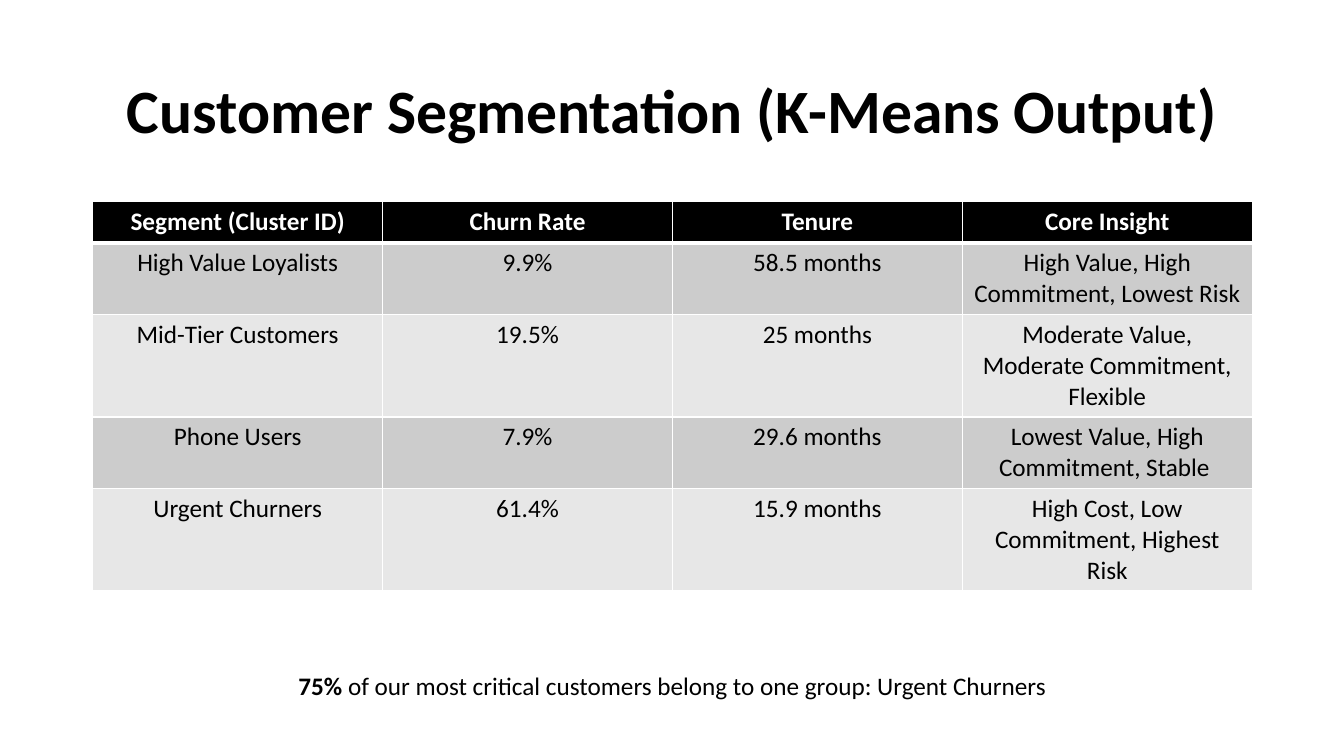
from typing import NamedTuple

from lxml.etree import SubElement
from pptx import Presentation
from pptx.dml.color import RGBColor
from pptx.enum.text import MSO_ANCHOR, MSO_AUTO_SIZE, PP_ALIGN
from pptx.oxml.ns import qn
from pptx.util import Emu, Pt

EMU_PER_PX = 9144  # 100 px to the inch
FONT = "Calibri"
BODY_SIZE = 18
COLORS = {
    "text": "000000",
    "header": "000000",
    "header_text": "FFFFFF",
    "odd_row": "CCCCCC",
    "even_row": "E7E7E7",
    "border": "FFFFFF",
}


class Box(NamedTuple):
    left: int
    top: int
    width: int
    height: int


class Segment(NamedTuple):
    name: str
    churn_rate: str
    tenure: str
    insight: str


TITLE_BOX = Box(92, 40, 1150, 145)
TABLE_BOX = Box(92, 200, 1150, 205)
TAKEAWAY_BOX = Box(92, 660, 1150, 40)

HEADER = Segment("Segment (Cluster ID)", "Churn Rate", "Tenure", "Core Insight")
SEGMENTS = [
    Segment("High Value Loyalists", "9.9%", "58.5 months",
            "High Value, High Commitment, Lowest Risk"),
    Segment("Mid-Tier Customers", "19.5%", "25 months",
            "Moderate Value, Moderate Commitment, Flexible"),
    Segment("Phone Users", "7.9%", "29.6 months",
            "Lowest Value, High Commitment, Stable "),
    Segment("Urgent Churners", "61.4%", "15.9 months",
            "High Cost, Low Commitment, Highest Risk"),
]


def px(length: int) -> Emu:
    return Emu(length * EMU_PER_PX)


def emu_box(box: Box) -> list[Emu]:
    return [px(length) for length in box]


def rgb(name: str) -> RGBColor:
    return RGBColor.from_string(COLORS[name])


def format_para(para, size: int, color: str = "text", bold: bool = False) -> None:
    para.alignment = PP_ALIGN.CENTER
    para.font.name = FONT
    para.font.size = Pt(size)
    para.font.bold = bold
    para.font.color.rgb = rgb(color)


def add_borders(cell, top: int, bottom: int) -> None:
    properties = cell._tc.get_or_add_tcPr()
    for side, points in (("L", 1), ("R", 1), ("T", top), ("B", bottom)):
        line = SubElement(properties, qn(f"a:ln{side}"), w=str(Pt(points)))
        fill = SubElement(line, qn("a:solidFill"))
        SubElement(fill, qn("a:srgbClr"), val=COLORS["border"])


def add_title(page) -> None:
    title = page.shapes.title
    title.left, title.top, title.width, title.height = emu_box(TITLE_BOX)
    frame = title.text_frame
    frame.text = "Customer Segmentation (K-Means Output)"
    frame.vertical_anchor = MSO_ANCHOR.MIDDLE
    frame.word_wrap = True
    para = frame.paragraphs[0]
    para.line_spacing = 0.9
    format_para(para, 44, bold=True)


def add_segment_table(page) -> None:
    rows = [HEADER, *SEGMENTS]
    table = page.shapes.add_table(len(rows), len(HEADER), *emu_box(TABLE_BOX)).table
    for row_index, segment in enumerate(rows):
        is_header = row_index == 0
        if is_header:
            fill = "header"
        else:
            fill = "odd_row" if row_index % 2 else "even_row"
        for column, text in enumerate(segment):
            cell = table.cell(row_index, column)
            # The rule under the header is thicker than the others
            add_borders(cell, top=3 if row_index == 1 else 1, bottom=3 if is_header else 1)
            cell.fill.solid()
            cell.fill.fore_color.rgb = rgb(fill)
            cell.text = text
            format_para(cell.text_frame.paragraphs[0], BODY_SIZE,
                        "header_text" if is_header else "text", is_header)


def add_takeaway(page) -> None:
    frame = page.shapes.add_textbox(*emu_box(TAKEAWAY_BOX)).text_frame
    frame.word_wrap = True
    frame.auto_size = MSO_AUTO_SIZE.SHAPE_TO_FIT_TEXT
    para = frame.paragraphs[0]
    format_para(para, BODY_SIZE)
    for text, bold in (
        ("75% ", True),
        ("of our most critical customers belong to one group: Urgent Churners", False),
    ):
        span = para.add_run()
        span.text = text
        span.font.bold = bold


def main() -> None:
    deck = Presentation()
    deck.slide_width, deck.slide_height = px(1333), px(750)
    page = deck.slides.add_slide(deck.slide_layouts[5])  # title only
    add_title(page)
    add_segment_table(page)
    add_takeaway(page)
    deck.save("out.pptx")


if __name__ == "__main__":
    main()
